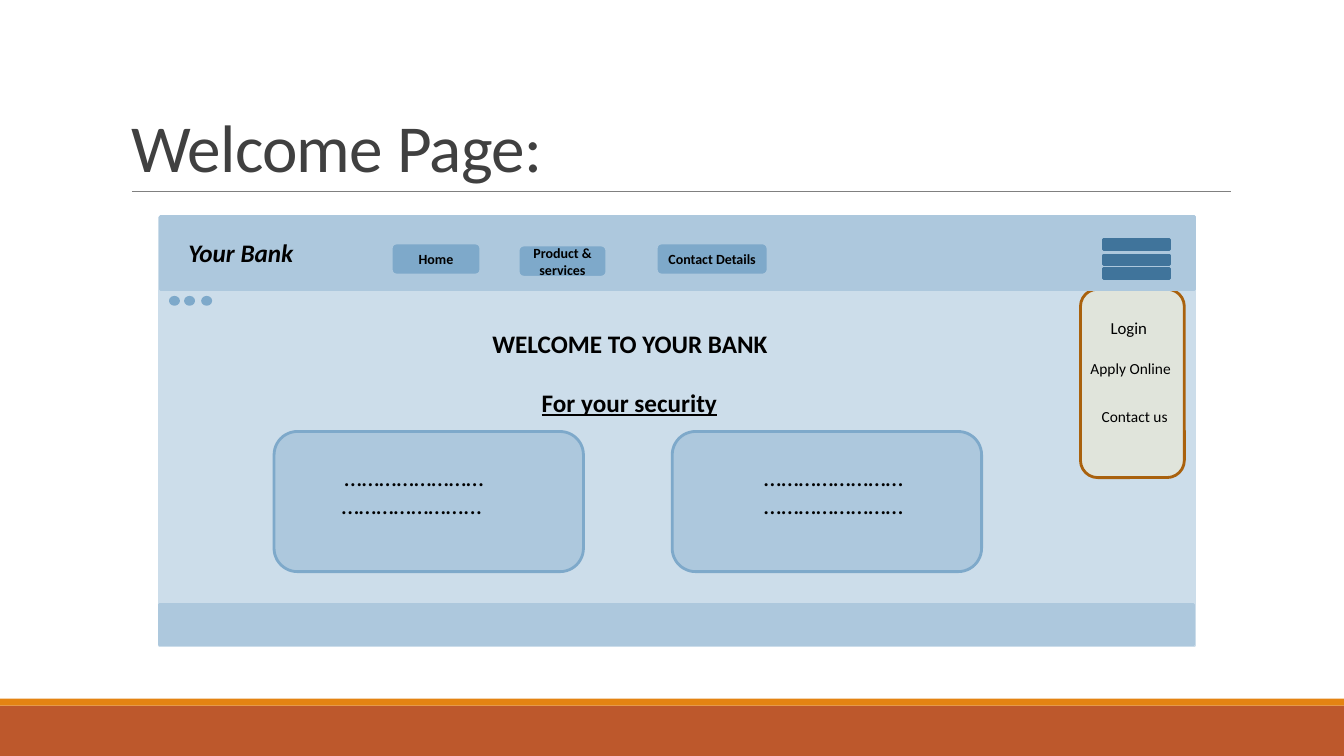
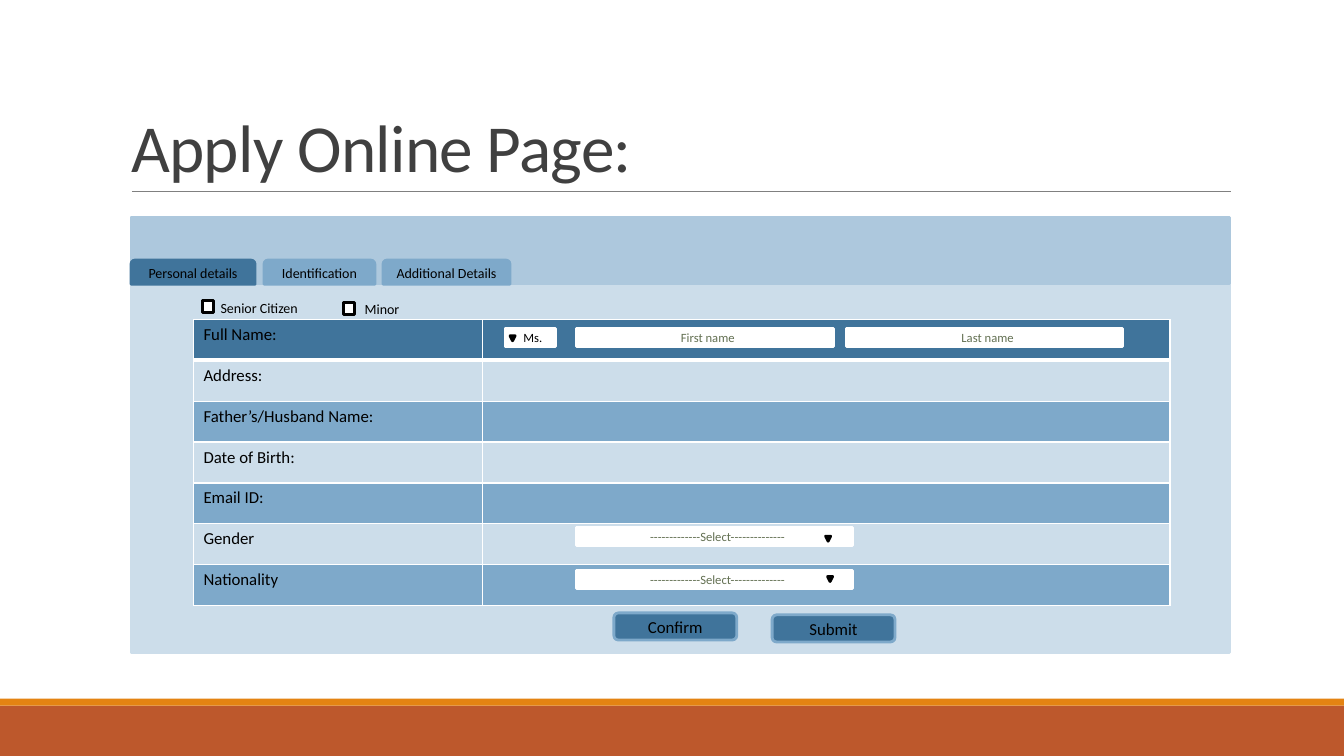
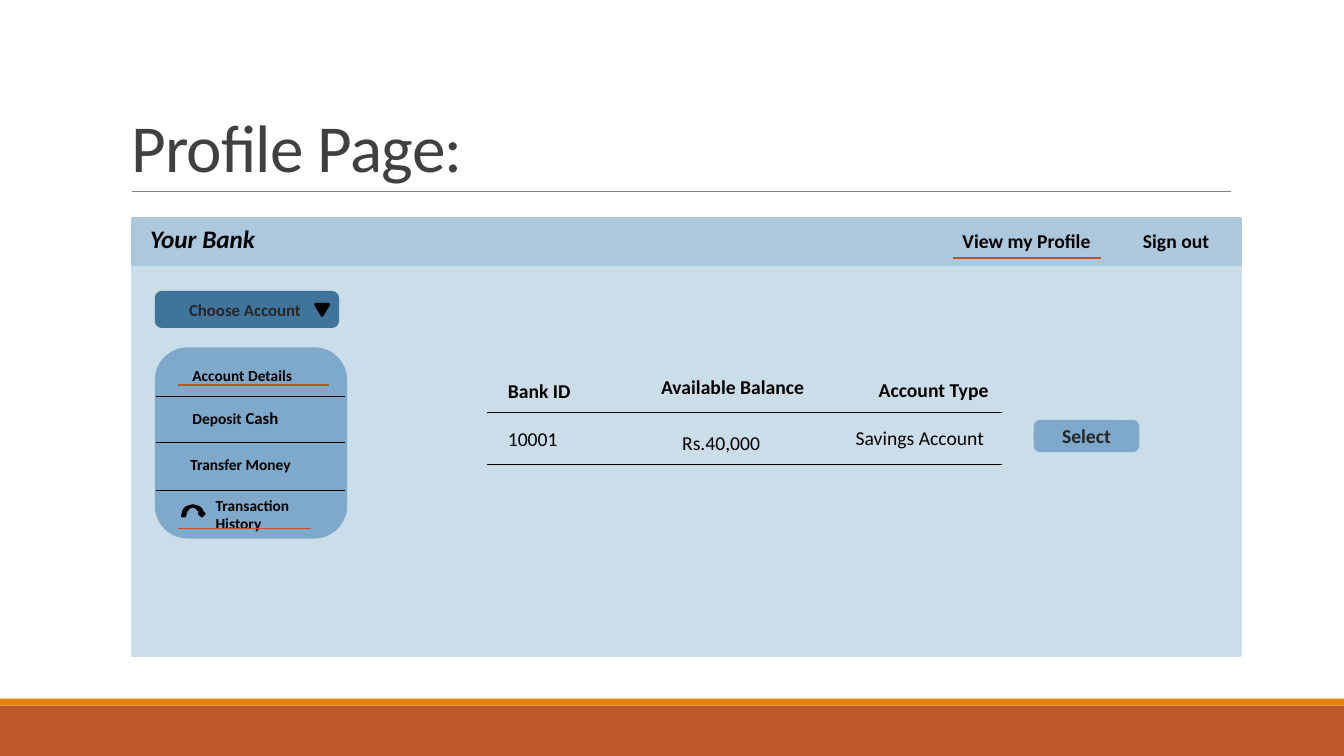
import dataclasses
import typing

import lxml.etree
import pptx
import pptx.dml.color
import pptx.enum.shapes
import pptx.enum.text
import pptx.oxml.ns
import pptx.presentation
import pptx.slide
import pptx.table
import pptx.text.text
import pptx.util

Pt = pptx.util.Pt
RGBColor = pptx.dml.color.RGBColor
Preset = pptx.enum.shapes.MSO_SHAPE
Align = pptx.enum.text.PP_ALIGN
Anchor = pptx.enum.text.MSO_ANCHOR
AutoSize = pptx.enum.text.MSO_AUTO_SIZE

BLACK = RGBColor(0x00, 0x00, 0x00)
WHITE = RGBColor(0xFF, 0xFF, 0xFF)
CHARCOAL = RGBColor(0x26, 0x26, 0x26)
TITLE_GRAY = RGBColor(0x40, 0x40, 0x40)
RULE_GRAY = RGBColor(0x80, 0x80, 0x80)
PALE_BLUE = RGBColor(0xCC, 0xDD, 0xEA)
LIGHT_BLUE = RGBColor(0xAD, 0xC8, 0xDD)
MID_BLUE = RGBColor(0x7E, 0xA9, 0xCA)
DARK_BLUE = RGBColor(0x40, 0x74, 0x9B)
RUST = RGBColor(0xBD, 0x58, 0x2C)
UNDERLINE_RUST = RGBColor(0xBC, 0x55, 0x27)
ORANGE = RGBColor(0xE4, 0x83, 0x12)
MENU_FILL = RGBColor(0xE0, 0xE4, 0xDB)
MENU_LINE = RGBColor(0xA9, 0x61, 0x0D)
HINT_GREEN = RGBColor(0x63, 0x70, 0x52)
FONT = "Calibri"


@dataclasses.dataclass(frozen=True)
class Style:
    size: float
    bold: bool = False
    italic: bool = False
    underline: bool = False
    color: RGBColor = BLACK


@dataclasses.dataclass(frozen=True)
class Box:
    preset: Preset
    left: float
    top: float
    width: float
    height: float
    fill: RGBColor
    line: typing.Optional[RGBColor] = None
    text: str = ""
    style: Style = Style(12)
    rotation: float = 0
    inset_left: float = 7.2


@dataclasses.dataclass(frozen=True)
class Label:
    left: float
    top: float
    width: float
    height: float
    runs: tuple[tuple[str, Style], ...]
    align: Align = Align.LEFT


@dataclasses.dataclass(frozen=True)
class Rule:
    left: float
    right: float
    top: float
    color: RGBColor = BLACK
    weight: float = 0.75


Part = typing.Union[Box, Label, Rule]

BRAND = Style(18, bold=True, italic=True)
HEADING = Style(18, bold=True)
SUBHEADING = Style(18, bold=True, underline=True)
BODY = Style(18)
COLUMN_HEAD = Style(14, bold=True)
COLUMN_VALUE = Style(14)
MENU_ITEM = Style(11)
SIDE_ITEM = Style(11, bold=True)
NAVIGATION = Style(10, bold=True)
SMALL = Style(10)
FORM = Style(12)
ENTRY = Style(9)
HINT = Style(9, color=HINT_GREEN)


def add_run(paragraph: pptx.text.text._Paragraph, text: str, style: Style) -> pptx.text.text._Run:
    run = paragraph.add_run()
    run.text = text
    font = run.font
    font.name = FONT
    font.size = Pt(style.size)
    font.bold = style.bold
    font.italic = style.italic
    font.underline = style.underline
    font.color.rgb = style.color
    return run


def draw_box(slide: pptx.slide.Slide, box: Box) -> typing.Any:
    shape = slide.shapes.add_shape(
        box.preset, Pt(box.left), Pt(box.top), Pt(box.width), Pt(box.height))
    shape.shadow.inherit = False
    shape.rotation = box.rotation
    shape.fill.solid()
    shape.fill.fore_color.rgb = box.fill
    if box.line is None:
        shape.line.fill.background()
    else:
        shape.line.color.rgb = box.line
        shape.line.width = Pt(2)
    if box.text:
        frame = shape.text_frame
        frame.word_wrap = True
        frame.vertical_anchor = Anchor.MIDDLE
        frame.margin_left = Pt(box.inset_left)
        paragraph = frame.paragraphs[0]
        paragraph.alignment = Align.CENTER
        add_run(paragraph, box.text, box.style)
    return shape


def draw_label(slide: pptx.slide.Slide, label: Label) -> typing.Any:
    shape = slide.shapes.add_textbox(
        Pt(label.left), Pt(label.top), Pt(label.width), Pt(label.height))
    frame = shape.text_frame
    frame.word_wrap = True
    frame.auto_size = AutoSize.SHAPE_TO_FIT_TEXT
    paragraph = frame.paragraphs[0]
    paragraph.alignment = label.align
    for text, style in label.runs:
        add_run(paragraph, text, style)
    return shape


def draw_rule(slide: pptx.slide.Slide, rule: Rule) -> typing.Any:
    connector = slide.shapes.add_connector(
        pptx.enum.shapes.MSO_CONNECTOR.STRAIGHT,
        Pt(rule.left), Pt(rule.top), Pt(rule.right), Pt(rule.top))
    connector.line.color.rgb = rule.color
    connector.line.width = Pt(rule.weight)
    properties = connector.element.find(pptx.oxml.ns.qn("p:spPr"))
    lxml.etree.SubElement(properties, pptx.oxml.ns.qn("a:effectLst"))
    return connector


def draw(slide: pptx.slide.Slide, part: Part) -> typing.Any:
    if isinstance(part, Box):
        return draw_box(slide, part)
    if isinstance(part, Label):
        return draw_label(slide, part)
    return draw_rule(slide, part)


def draw_all(slide: pptx.slide.Slide, parts: typing.Iterable[Part]) -> None:
    for part in parts:
        draw(slide, part)


def label(left: float, top: float, width: float, height: float, text: str,
          style: Style, align: Align = Align.LEFT) -> Label:
    return Label(left, top, width, height, ((text, style),), align)


def panel(left: float, top: float, width: float, height: float, color: RGBColor) -> Box:
    return Box(Preset.RECTANGLE, left, top, width, height, color, color)


def rounded(left: float, top: float, width: float, height: float, fill: RGBColor,
            line: RGBColor, text: str = "", style: Style = FORM) -> Box:
    return Box(Preset.ROUNDED_RECTANGLE, left, top, width, height, fill, line, text, style)


def field(left: float, top: float, width: float, text: str, style: Style = HINT) -> Box:
    return Box(Preset.RECTANGLE, left, top, width, 13, WHITE, WHITE, text, style,
               inset_left=11)


def marker(left: float, top: float, width: float = 3.6, height: float = 3.6) -> Box:
    return Box(Preset.ISOSCELES_TRIANGLE, left, top, width, height, BLACK, BLACK,
               rotation=180)


def prepare_layout(presentation: pptx.presentation.Presentation,
                   first_slide: pptx.slide.Slide) -> None:
    layout = first_slide.slide_layout
    title = layout.placeholders[0]
    title.left, title.top, title.width, title.height = Pt(86.4), Pt(22.5), Pt(792), Pt(114.3)
    shared = (
        Box(Preset.RECTANGLE, 0, 504, 960, 36, RUST),
        Box(Preset.RECTANGLE, 0, 499, 960, 5, ORANGE),
        Rule(94.3, 879, 136.8, RULE_GRAY, 0.5),
    )
    for part in shared:
        layout.shapes.element.append(draw(first_slide, part).element)


def set_title(slide: pptx.slide.Slide, text: str) -> None:
    frame = slide.shapes.title.text_frame
    frame.auto_size = AutoSize.NONE
    frame.word_wrap = True
    frame.vertical_anchor = Anchor.BOTTOM
    paragraph = frame.paragraphs[0]
    paragraph.alignment = Align.LEFT
    paragraph.line_spacing = 0.85
    run = add_run(paragraph, text, Style(48, color=TITLE_GRAY))
    run._r.get_or_add_rPr().set("spc", "-50")


def set_cell_border(cell: pptx.table._Cell, side: str, weight: float) -> None:
    qualify = pptx.oxml.ns.qn
    border = lxml.etree.SubElement(
        cell._tc.get_or_add_tcPr(), qualify(f"a:ln{side}"), w=str(Pt(weight)))
    fill = lxml.etree.SubElement(border, qualify("a:solidFill"))
    lxml.etree.SubElement(fill, qualify("a:srgbClr"), val=str(WHITE))


def draw_form_table(slide: pptx.slide.Slide, names: typing.Sequence[str]) -> None:
    table = slide.shapes.add_table(
        len(names), 2, Pt(138.2), Pt(228.2), Pt(697.6), Pt(24 * len(names))).table
    table.columns[0].width = Pt(206.6)
    table.columns[1].width = Pt(491)
    for index, name in enumerate(names):
        color = DARK_BLUE if index == 0 else (MID_BLUE, PALE_BLUE)[index % 2]
        for cell in table.rows[index].cells:
            for side in "LRTB":
                heavy = (index, side) in ((0, "B"), (1, "T"))
                set_cell_border(cell, side, 3 if heavy else 0.96)
            cell.fill.solid()
            cell.fill.fore_color.rgb = color
        add_run(table.cell(index, 0).text_frame.paragraphs[0], name, FORM)


def build_welcome(slide: pptx.slide.Slide) -> None:
    set_title(slide, "Welcome Page:")
    draw_all(slide, (
        panel(113.8, 155.5, 739.4, 306, PALE_BLUE),
        label(334.8, 231.1, 230.4, 28.8, "WELCOME TO YOUR BANK", HEADING, Align.CENTER),
        rounded(771.8, 206.6, 74.2, 134.6, MENU_FILL, MENU_LINE),
        label(786.2, 223.2, 42.5, 21.6, "Login", FORM),
        label(771.8, 252.7, 87.1, 20.2, "Apply Online", MENU_ITEM),
        label(779.8, 287.3, 98.6, 20.2, "Contact us", MENU_ITEM),
        panel(114.5, 154.8, 738.7, 51.8, LIGHT_BLUE),
        label(127.4, 166.3, 116.6, 28.8, "Your Bank", BRAND),
        panel(113.8, 432, 738.7, 28.8, LIGHT_BLUE),
        label(372.2, 272.9, 154.8, 28.8, "For your security", SUBHEADING, Align.CENTER),
    ))
    for left in (121.7, 132.5, 144.7):
        draw(slide, Box(Preset.FLOWCHART_CONNECTOR, left, 212.4, 5.8, 5, MID_BLUE, MID_BLUE))
    for left in (195.8, 480.2):
        draw(slide, rounded(left, 308.2, 221, 100.1, LIGHT_BLUE, MID_BLUE))
    dots = "…" * 8
    for left, top, text in ((236.9, 346.3, "…" * 7 + "..."), (239, 326.2, dots),
                            (538.6, 326.2, dots), (538.6, 346.3, dots)):
        draw(slide, label(left, top, 139, 28.8, text, BODY))
    for preset, top in ((Preset.MATH_EQUAL, 176.4), (Preset.MATH_MINUS, 160.6)):
        draw(slide, Box(preset, 779.8, top, 64.1, 28.1, DARK_BLUE, DARK_BLUE))
    for left, top, width, text in ((279.4, 173.5, 64.1, "Home"),
                                   (370.1, 175, 63.4, "Product & services"),
                                   (468.7, 173.5, 79.9, "Contact Details")):
        draw(slide, rounded(left, top, width, 23, MID_BLUE, LIGHT_BLUE, text, NAVIGATION))


def build_application(slide: pptx.slide.Slide) -> None:
    set_title(slide, "Apply Online Page:")
    draw(slide, panel(93.6, 155.5, 784.8, 310.3, PALE_BLUE))
    draw(slide, panel(93.6, 155.5, 784.8, 46.8, LIGHT_BLUE))
    for left, width, color, text in ((93.6, 88.6, DARK_BLUE, "Personal details"),
                                     (188.6, 79.2, MID_BLUE, "Identification"),
                                     (273.6, 90.7, MID_BLUE, "Additional Details")):
        draw(slide, Box(Preset.ROUND_2_SAME_RECTANGLE, left, 185.8, width, 17.3,
                        color, color, text, SMALL))
    draw_form_table(slide, ("Full Name: ", "Address:", "Father’s/Husband Name:",
                            "Date of Birth:", "Email ID:", "Gender", "Nationality"))
    for left, top in ((144.7, 214.6), (245.5, 216)):
        draw(slide, Box(Preset.RECTANGLE, left, top, 7.9, 8.6, WHITE, BLACK))
    select = "-------------Select--------------"
    draw_all(slide, (
        label(150.5, 210.2, 106.6, 19.4, "Senior Citizen", SMALL),
        label(253.4, 211, 106.6, 19.4, "Minor", SMALL),
        field(360.7, 234.7, 36, "Ms.", ENTRY),
        field(411.8, 234.7, 183.6, "First name"),
        field(604.8, 234.7, 197.3, "Last name"),
        field(411.8, 376.6, 197.3, select),
        field(411.8, 407.5, 197.3, select),
        marker(364.3, 239.8),
        marker(589.7, 383),
        marker(591.1, 411.8),
        rounded(551.5, 439.2, 87.8, 19.4, DARK_BLUE, MID_BLUE, "Submit"),
        rounded(438.5, 437.8, 87.8, 19.4, DARK_BLUE, MID_BLUE, "Confirm"),
    ))


def build_profile(slide: pptx.slide.Slide) -> None:
    set_title(slide, "Profile Page:")
    draw_all(slide, (
        panel(94.3, 156.2, 792, 311.8, PALE_BLUE),
        panel(94.3, 156.2, 792, 33.1, LIGHT_BLUE),
        label(100.1, 156.2, 141.1, 28.8, "Your Bank", BRAND),
        label(680.4, 159.8, 118.1, 23.8, "View my Profile", COLUMN_HEAD),
        label(809.3, 159.8, 66.2, 23.8, "Sign out", COLUMN_HEAD),
        rounded(111.6, 208.8, 129.6, 24.5, DARK_BLUE, DARK_BLUE, "Choose Account ",
                Style(12, bold=True, color=CHARCOAL)),
        marker(225.4, 217.4, 9.4, 7.9),
        rounded(111.6, 249.1, 135.4, 134.6, MID_BLUE, MID_BLUE),
        label(130.3, 257.8, 113.8, 20.2, "Account Details", SIDE_ITEM),
        Label(130.3, 288, 92.2, 21.6,
              (("Deposit", SIDE_ITEM), (" Cash", Style(12, bold=True)))),
        label(128.9, 321.8, 105.8, 20.2, "Transfer Money", SIDE_ITEM),
        label(146.9, 350.6, 100.8, 33.1, "Transaction History", SIDE_ITEM),
        Box(Preset.CURVED_DOWN_ARROW, 130.3, 361.4, 15.8, 7.2, BLACK, BLACK),
        label(355.7, 267.1, 72, 23.8, "Bank ID", COLUMN_HEAD),
        label(465.1, 264.2, 118.1, 23.8, "Available Balance", COLUMN_HEAD),
        label(620.6, 266.4, 95, 23.8, "Account Type", COLUMN_HEAD),
        label(355.7, 301.7, 72, 23.8, "10001", COLUMN_VALUE),
        label(480.2, 304.6, 72, 23.8, "Rs.40,000", COLUMN_VALUE),
        label(604.1, 301, 135.4, 23.8, "Savings Account", COLUMN_VALUE),
        rounded(739.4, 301, 73.4, 20.9, MID_BLUE, MID_BLUE, "Select",
                Style(14, bold=True, color=CHARCOAL)),
    ))
    for top in (283, 316.1, 350.6):
        draw(slide, Rule(111.6, 246.5, top))
    for top in (294.5, 331.9):
        draw(slide, Rule(347.8, 715.7, top))
    for left, right, top in ((680.4, 786.2, 184.3), (127.4, 234.7, 275), (127.4, 222.5, 377.3)):
        draw(slide, Rule(left, right, top, UNDERLINE_RUST))


def main() -> None:
    presentation = pptx.Presentation()
    presentation.slide_width = Pt(960)
    presentation.slide_height = Pt(540)
    title_only = presentation.slide_layouts[5]
    builders = (build_welcome, build_application, build_profile)
    slides = [presentation.slides.add_slide(title_only) for _ in builders]
    prepare_layout(presentation, slides[0])
    for builder, slide in zip(builders, slides):
        builder(slide)
    presentation.save("out.pptx")


main()
